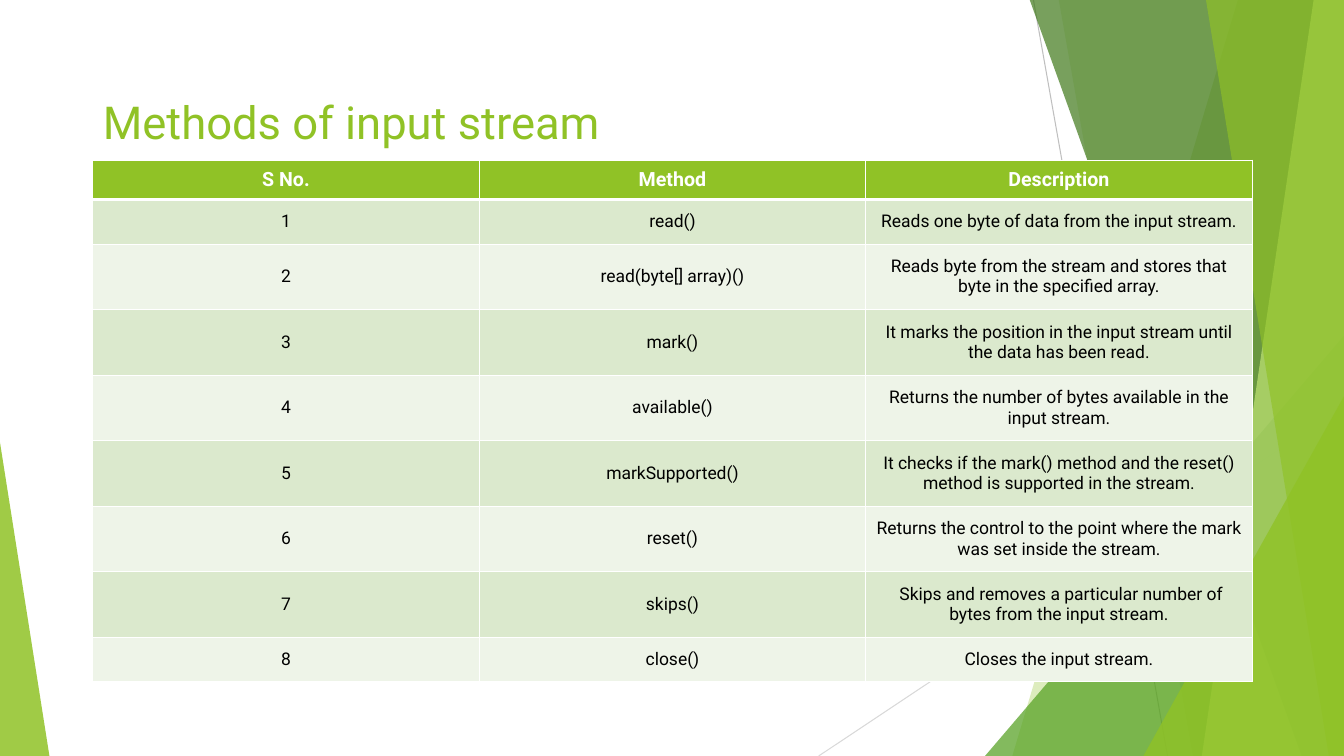
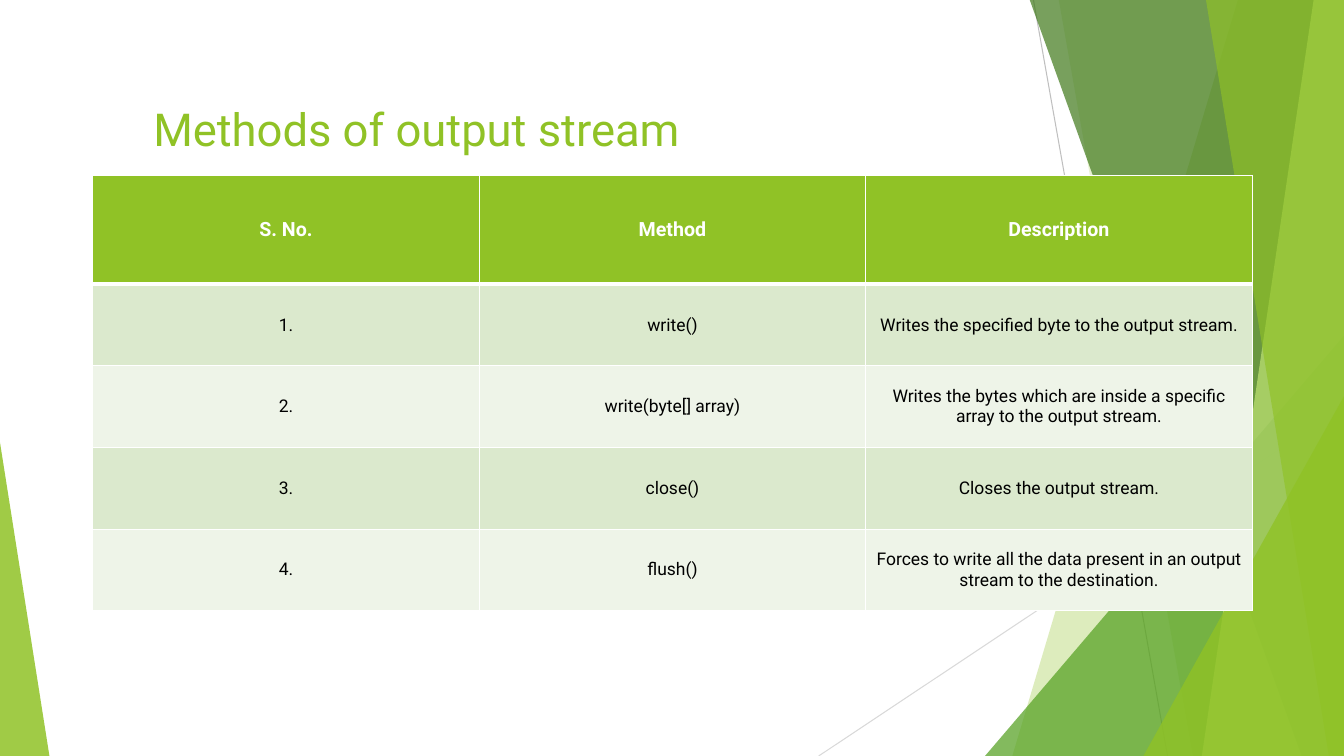
from lxml.etree import SubElement as Sub
from pptx import Presentation
from pptx.dml.color import RGBColor
from pptx.enum.shapes import MSO_CONNECTOR, MSO_SHAPE
from pptx.enum.text import MSO_ANCHOR, MSO_AUTO_SIZE, PP_ALIGN
from pptx.oxml.ns import qn
from pptx.util import Inches, Pt

FONT = "Roboto"
LIME, WHITE, BLACK = "90C226", "FFFFFF", "000000"
BANDS = ("DBE9CD", "EEF4E8")
WIDE, HIGH = 13.33, 7.5
LEFT, SPAN = 0.92, 11.5

LINES = [
    ((10.25, 0), (11.58, HIGH), "BFBFBF"),
    ((WIDE, 4.03), (8.12, HIGH), "D9D9D9"),
]
# Each band runs from a top x to a foot x and fills out to the right edge.
DECOR = [
    ("band", (12.28, 10.04), LIME, 30),
    ("band", (10.5, 11.83), LIME, 20),
    ("peak", (9.77, 3.33, 3.56, 1), "54A021", 72),
    ("band", (10.21, 12.91), "3F7819", 70),
    ("band", (13.03, 11.92), "C0E474", 70),
    ("band", (11.96, 13.18), LIME, 65),
    ("peak", (11.34, 3.93, 1.99, 1), LIME, 80),
    ("peak", (0, 4.39, 0.49, 0), LIME, 85),
]

INPUT = [
    ("S No.", "Method", "Description"),
    ("1", "read()", "Reads one byte of data from the input stream."),
    ("2", "read(byte[] array)()",
     "Reads byte from the stream and stores that byte in the specified array."),
    ("3", "mark()",
     "It marks the position in the input stream until the data has been read."),
    ("4", "available()",
     "Returns the number of bytes available in the input stream."),
    ("5", "markSupported()",
     "It checks if the mark() method and the reset() method is supported in the stream."),
    ("6", "reset()",
     "Returns the control to the point where the mark was set inside the stream."),
    ("7", "skips()",
     "\u00a0Skips and removes a particular number of bytes from the input stream."),
    ("8", "close()", "Closes the input stream."),
]
OUTPUT = [
    ("S. No.", "Method", "Description"),
    ("1.", "write()", "Writes the specified byte to the output stream."),
    ("2.", "write(byte[] array)",
     "Writes the bytes which are inside a specific array to the output stream."),
    ("3.", "close()", "Closes the output stream."),
    ("4.", "flush()",
     "Forces to write all the data present in an output stream to the destination."),
]
SLIDES = [
    ("Methods of input stream", (LEFT, 0.85, SPAN, 0.54), 1.59,
     [0.38, 0.44] + [0.65] * 6 + [0.44], INPUT),
    ("Methods of output stream", (1.42, 0.92, 10.5, 0.58), 1.74,
     [1.08] + [0.81] * 4, OUTPUT),
]


def rgb(code):
    return RGBColor.from_string(code)


def style(para, size, color, bold=False):
    for run in para.runs:
        font = run.font
        font.name, font.size, font.bold = FONT, Pt(size), bold
        font.color.rgb = rgb(color)


def paint(shape, color, alpha):
    shape.shadow.inherit = False
    shape.fill.solid()
    shape.fill.fore_color.rgb = rgb(color)
    tone = shape.fill._xPr.find(qn("a:solidFill"))[0]
    Sub(tone, qn("a:alpha"), val=str(alpha * 1000))
    shape.line.fill.background()


def add_band(shapes, top, foot):
    pen = shapes.build_freeform(Inches(top), Inches(-0.01))
    ends = [(WIDE, -0.01), (WIDE, HIGH), (foot, HIGH)]
    pen.add_line_segments([(Inches(x), Inches(y)) for x, y in ends])
    return pen.convert_to_shape()


def add_peak(shapes, x, y, width, tip):
    peak = shapes.add_shape(MSO_SHAPE.ISOSCELES_TRIANGLE, Inches(x), Inches(y),
                            Inches(width), Inches(HIGH - y))
    peak.adjustments[0] = tip
    return peak


def decorate(slide):
    layout = slide.slide_layout
    for holder in list(layout.placeholders):
        if holder.placeholder_format.idx:
            holder.element.getparent().remove(holder.element)
    parts = []
    for start, end, color in LINES:
        line = slide.shapes.add_connector(
            MSO_CONNECTOR.STRAIGHT, *[Inches(v) for v in start + end])
        line.line.color.rgb = rgb(color)
        line.line.width = Pt(0.75)
        Sub(line.element.spPr, qn("a:effectLst"))
        parts.append(line)
    makers = {"band": add_band, "peak": add_peak}
    for kind, spot, color, alpha in DECOR:
        shape = makers[kind](slide.shapes, *spot)
        paint(shape, color, alpha)
        parts.append(shape)
    for part in parts:
        layout.shapes.element.append(part.element)


def add_title(slide, text, box):
    title = slide.shapes.title
    title.left, title.top, title.width, title.height = [Inches(v) for v in box]
    frame = title.text_frame
    frame.text = text
    frame.word_wrap = True
    frame.auto_size = MSO_AUTO_SIZE.NONE
    frame.vertical_anchor = MSO_ANCHOR.TOP
    frame.margin_top = Inches(0.08)
    para = frame.paragraphs[0]
    para.alignment = PP_ALIGN.LEFT
    style(para, 32.4, LIME)


def edge(cell, row):
    props = cell._tc.get_or_add_tcPr()
    thick = {"T": 3 if row == 1 else 1, "B": 3 if row == 0 else 1}
    for side in "LRTB":
        line = Sub(props, qn("a:ln" + side), w=str(Pt(thick.get(side, 1))))
        Sub(Sub(line, qn("a:solidFill")), qn("a:srgbClr"), val=WHITE)


def fill_cell(cell, text, row, col):
    head = row == 0
    edge(cell, row)
    cell.fill.solid()
    cell.fill.fore_color.rgb = rgb(LIME if head else BANDS[(row - 1) % 2])
    cell.vertical_anchor = MSO_ANCHOR.MIDDLE
    cell.margin_left = cell.margin_right = Inches(0.04 if head and col == 0 else 0.08)
    cell.margin_top = cell.margin_bottom = Inches(0.08 if head else 0.12)
    cell.text_frame.text = text
    para = cell.text_frame.paragraphs[0]
    para.alignment = PP_ALIGN.CENTER
    style(para, 14 if head else 12.5, WHITE if head else BLACK, head)


def add_grid(slide, top, heights, rows):
    count = len(rows[0])
    table = slide.shapes.add_table(len(rows), count, Inches(LEFT), Inches(top),
                                   Inches(SPAN), Inches(sum(heights))).table
    for col in table.columns:
        col.width = Inches(SPAN / count)
    for r, (height, texts) in enumerate(zip(heights, rows)):
        table.rows[r].height = Inches(height)
        for c, text in enumerate(texts):
            fill_cell(table.cell(r, c), text, r, c)


deck = Presentation()
deck.slide_width, deck.slide_height = Inches(WIDE), Inches(HIGH)
for num, (name, box, top, heights, rows) in enumerate(SLIDES):
    slide = deck.slides.add_slide(deck.slide_layouts[5])
    if num == 0:
        decorate(slide)
    add_title(slide, name, box)
    add_grid(slide, top, heights, rows)
deck.save("out.pptx")
